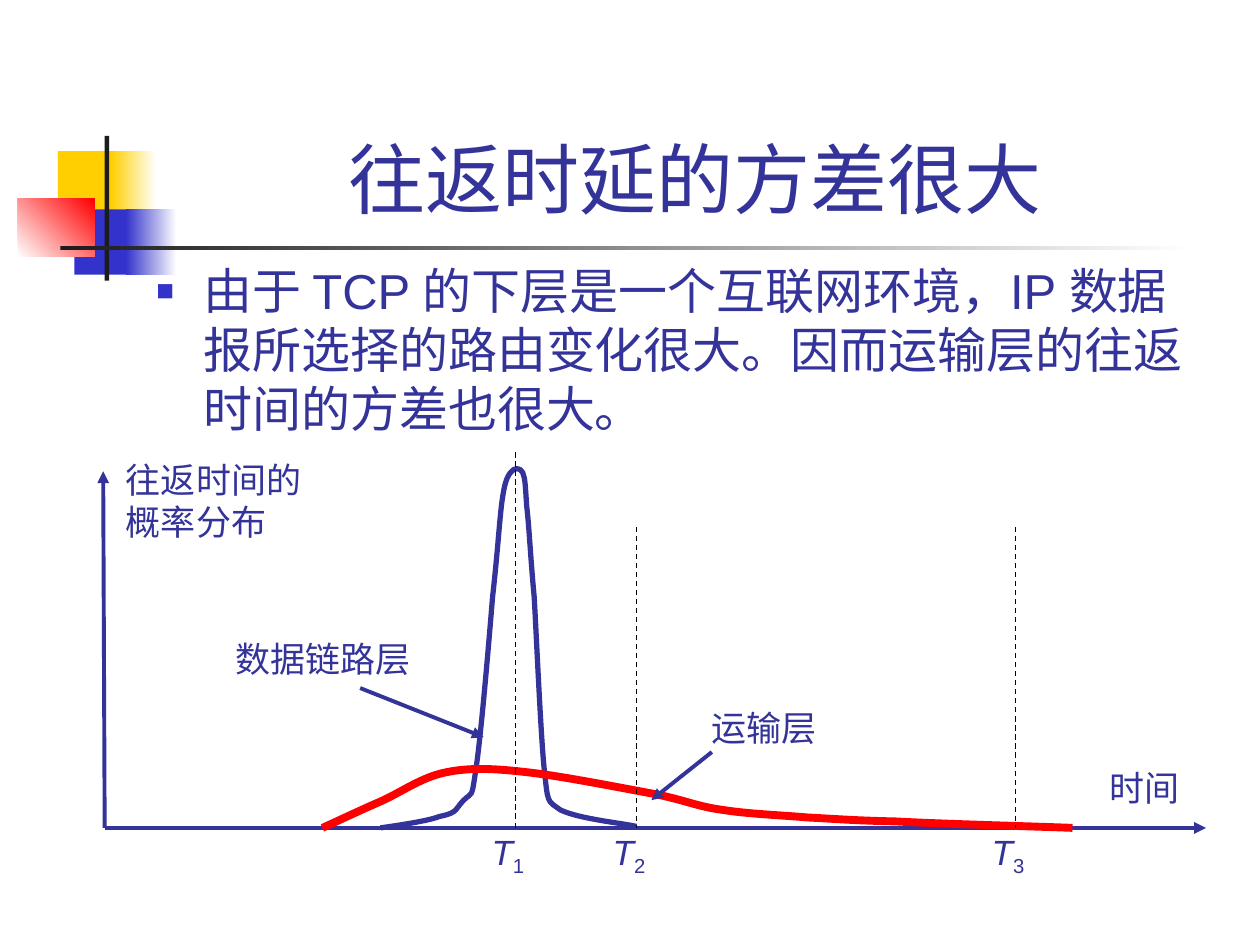
from dataclasses import dataclass
from typing import Optional

from lxml.etree import SubElement
from pptx import Presentation
from pptx.dml.color import RGBColor
from pptx.enum.dml import MSO_LINE
from pptx.enum.shapes import MSO_CONNECTOR, MSO_SHAPE
from pptx.enum.text import MSO_ANCHOR, MSO_AUTO_SIZE, PP_ALIGN
from pptx.oxml.ns import qn
from pptx.util import Cm, Pt

INK, BLUE, GOLD, RED = "333399", "3333CC", "FFCF01", "FF0000"
DARK, WHITE, BLACK = "1C1C1C", "FFFFFF", "000000"
BASE = 16.69  # height of the time axis


@dataclass
class Block:
    box: tuple
    color: str
    end: Optional[str] = None
    angle: float = 0


@dataclass
class Stroke:
    start: tuple
    end: tuple
    color: str = INK
    width: float = 2.25
    arrow: bool = True


@dataclass
class Curve:
    color: str
    width: float
    points: list  # start, then two handles and an end per piece


@dataclass
class Label:
    box: tuple
    text: str
    sub: str = ""


def paint(target, color: str) -> None:
    """Give a fill or a font colour one solid value."""
    if hasattr(target, "solid"):
        target.solid()
        target = target.fore_color
    target.rgb = RGBColor.from_string(color)


def style(frame, size: float) -> None:
    for para in frame.paragraphs:
        for run in para.runs:
            run.font.size, run.font.name = Pt(size), "Arial"
            paint(run.font.color, INK)


def place(shape, box: tuple) -> None:
    shape.left, shape.top, shape.width, shape.height = map(Cm, box)


def draw_block(shapes, item: Block) -> None:
    shape = shapes.add_shape(MSO_SHAPE.RECTANGLE, *map(Cm, item.box))
    shape.shadow.inherit = False
    shape.line.fill.background()
    if item.end is None:
        paint(shape.fill, item.color)
        return
    shape.fill.gradient()
    shape.fill.gradient_angle = item.angle
    for stop, color, pos in zip(shape.fill.gradient_stops, (item.color, item.end), (0, 1)):
        paint(stop.color, color)
        stop.position = pos


def draw_stroke(shapes, item: Stroke) -> None:
    line = shapes.add_connector(MSO_CONNECTOR.STRAIGHT, *map(Cm, item.start + item.end))
    paint(line.line.fill, item.color)
    line.line.width = Pt(item.width)
    if item.arrow:
        SubElement(line.line._get_or_add_ln(), qn("a:tailEnd"), type="triangle")
    else:
        line.line.dash_style = MSO_LINE.DASH
    SubElement(line._element.spPr, qn("a:effectLst"))


def draw_curve(shapes, item: Curve) -> None:
    first, *rest = [(Cm(x), Cm(y)) for x, y in item.points]
    pen = shapes.build_freeform(*first)
    pen.add_line_segments(rest, close=False)
    shape = pen.convert_to_shape()
    shape.shadow.inherit = False
    shape.fill.background()
    paint(shape.line.fill, item.color)
    shape.line.width = Pt(item.width)
    # Join each three straight steps into one cubic piece
    track = next(shape._element.iter(qn("a:moveTo"))).getparent()
    steps = track.findall(qn("a:lnTo"))
    for i in range(0, len(steps), 3):
        cubic = SubElement(track, qn("a:cubicBezTo"))
        for step in steps[i:i + 3]:
            cubic.append(step[0])
            track.remove(step)


def draw_label(shapes, item: Label) -> None:
    frame = shapes.add_textbox(*map(Cm, item.box)).text_frame
    frame.word_wrap = False
    frame.auto_size = MSO_AUTO_SIZE.SHAPE_TO_FIT_TEXT
    frame.text = item.text
    if item.sub:
        para = frame.paragraphs[0]
        para.runs[0].font.italic = True
        run = para.add_run()
        run.text = item.sub
        run._r.get_or_add_rPr().set("baseline", "-25000")
    style(frame, 20)


deck = Presentation()
deck.slide_width, deck.slide_height = Cm(25.4), Cm(19.05)
slide = deck.slides.add_slide(deck.slide_layouts[1])
shapes = slide.shapes

# Title
title = shapes.title
place(title, (3.2, 0.58, 21.64, 4.06))
title.text_frame.text = "往返时延的方差很大"
title.text_frame.vertical_anchor = MSO_ANCHOR.BOTTOM
title.text_frame.paragraphs[0].alignment = PP_ALIGN.CENTER
style(title.text_frame, 44)

# Body with a square bullet
body = slide.placeholders[1]
place(body, (2.9, 5.13, 21.59, 3.99))
frame = body.text_frame
frame.auto_size = MSO_AUTO_SIZE.NONE
frame.text = ("由于 TCP 的下层是一个互联网环境，IP 数据报所选择的路由变化很大。"
              "因而运输层的往返时间的方差也很大。")
style(frame, 28)
props = frame.paragraphs[0]._p.get_or_add_pPr()
props.set("marL", str(Cm(0.95)))
props.set("indent", str(Cm(-0.95)))
SubElement(SubElement(props, qn("a:buClr")), qn("a:srgbClr"), val=BLUE)
SubElement(props, qn("a:buSzPct"), val="60000")
SubElement(props, qn("a:buFont"), typeface="Arial")
SubElement(props, qn("a:buChar"), char="■")

# Corner ornament and rule
for block in (
    Block((1.17, 3.05, 1.22, 1.32), GOLD),
    Block((2.24, 3.05, 0.91, 1.32), GOLD, WHITE),
    Block((1.5, 4.22, 1.17, 1.32), BLUE),
    Block((2.54, 4.22, 1.02, 1.32), BLUE, WHITE),
    Block((0.36, 4.01, 1.55, 1.17), WHITE, RED, 45),
    Block((2.11, 2.74, 0.09, 2.92), DARK),
    Block((1.22, 4.95, 22.86, 0.09), DARK, WHITE),
):
    draw_block(shapes, block)

# Axes
for end in ((24.31, BASE), (2.08, 9.5)):
    draw_stroke(shapes, Stroke((2.11, BASE), end))

# Distribution curves: link layer, then transport layer
link = Curve(INK, 3, [
    (7.67, BASE), (7.87, 16.66), (8.61, 16.56), (8.86, 16.46),
    (9.25, 16.38), (9.17, 16.31), (9.35, 16.13),
    (9.53, 15.95), (9.5, 16.15), (9.6, 15.47),
    (9.7, 14.81), (9.86, 12.9), (9.93, 12.04),
    (10.03, 11.15), (10.06, 10.62), (10.11, 10.19),
    (10.16, 9.78), (10.21, 9.63), (10.29, 9.53),
    (10.36, 9.42), (10.49, 9.42), (10.54, 9.53),
    (10.59, 9.65), (10.59, 9.8), (10.62, 10.21),
    (10.67, 10.64), (10.69, 11.18), (10.77, 12.04),
    (10.82, 12.93), (10.9, 14.78), (10.97, 15.49),
    (11.05, 16.21), (11.02, 16.13), (11.3, 16.33),
    (11.68, 16.51), (12.52, 16.59), (12.83, 16.66)])
trans = Curve(RED, 4.5, [
    (6.5, BASE), (6.68, 16.61), (7.21, 16.36), (7.62, 16.18),
    (8.05, 16), (8.48, 15.67), (8.99, 15.57),
    (9.47, 15.47), (9.96, 15.49), (10.64, 15.57),
    (11.35, 15.65), (12.5, 15.88), (13.16, 16),
    (13.82, 16.13), (14.05, 16.26), (14.58, 16.33),
    (15.09, 16.41), (15.7, 16.43), (16.28, 16.48),
    (16.87, 16.51), (17.17, 16.54), (18.06, 16.56),
    (18.95, 16.61), (20.88, 16.66), (21.62, BASE)])
for curve in (link, trans):
    draw_curve(shapes, curve)

# Time marks
for num, (x, top) in enumerate(((10.39, 9.12), (12.83, 10.62), (20.47, 10.62)), 1):
    draw_stroke(shapes, Stroke((x, top), (x, BASE), BLACK, 0.75, False))
    draw_label(shapes, Label((x - 0.73, 16.61, 1.19, 1.09), "T", str(num)))

# Pointers and labels
for stroke in (Stroke((7.26, 13.87), (9.75, 14.86)), Stroke((14.35, 15.16), (13.13, 16.13))):
    draw_stroke(shapes, stroke)
for label in (
    Label((22.12, 15.32, 1.93, 1.09), "时间"),
    Label((4.5, 12.73, 4.04, 1.09), "数据链路层"),
    Label((14.1, 14.12, 2.62, 1.09), "运输层"),
    Label((2.29, 9.12, 4.04, 1.96), "往返时间的\n概率分布"),
):
    draw_label(shapes, label)

deck.save("out.pptx")
